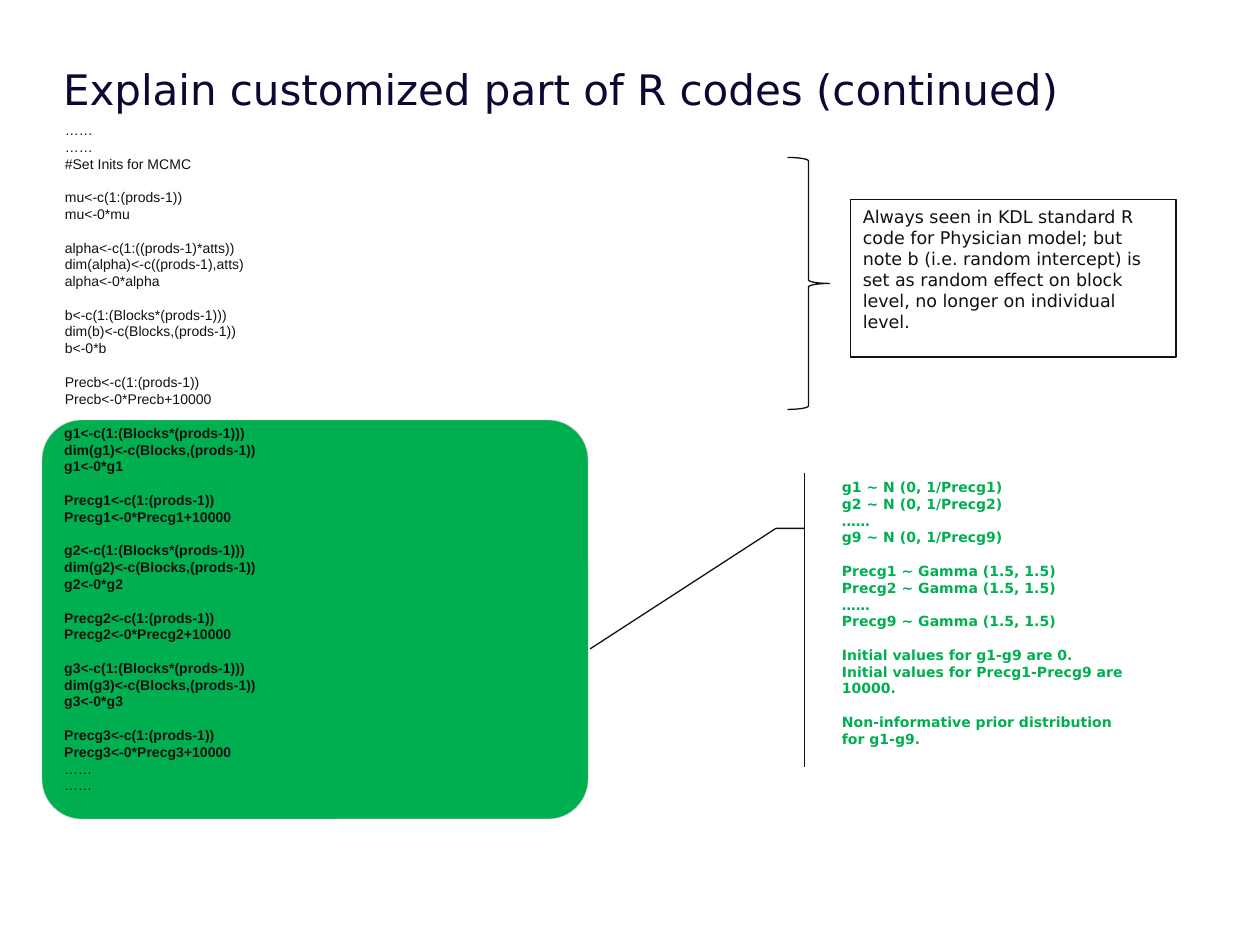
"""Build a slide that explains the customized part of the R codes."""
from pptx import Presentation
from pptx.dml.color import RGBColor
from pptx.enum.shapes import MSO_SHAPE
from pptx.enum.text import MSO_ANCHOR, PP_ALIGN
from pptx.util import Pt

BRACE = MSO_SHAPE.RIGHT_BRACE
ROUNDED = MSO_SHAPE.ROUNDED_RECTANGLE
RECTANGLE = MSO_SHAPE.RECTANGLE
CALLOUT = MSO_SHAPE.LINE_CALLOUT_2_ACCENT_BAR
TOP, MIDDLE = MSO_ANCHOR.TOP, MSO_ANCHOR.MIDDLE
LEFT = PP_ALIGN.LEFT
COLORS = {"title": "0E0733", "ink": "111111", "green": "00B050", "edge": "BFBFBF", "white": "FFFFFF"}
LINE_GAP = 9.6


def write_text(frame, groups, font="Arial", size=8, color="ink", bold=False,
               plain_tail=0, anchor=TOP, insets=(7.2, 3.6, 7.2, 3.6)):
    frame.word_wrap = True
    frame.vertical_anchor = anchor
    frame.margin_left, frame.margin_top, frame.margin_right, frame.margin_bottom = map(Pt, insets)
    lines = [(text, group > 0 and row == 0)
             for group, texts in enumerate(groups) for row, text in enumerate(texts)]
    for index, (text, starts_group) in enumerate(lines):
        paragraph = frame.paragraphs[0] if index == 0 else frame.add_paragraph()
        paragraph.alignment = LEFT
        paragraph.space_before = Pt(LINE_GAP if starts_group else 0)
        run = paragraph.add_run()
        run.text = text
        run.font.name = font
        run.font.size = Pt(size)
        run.font.bold = bold and index < len(lines) - plain_tail
        run.font.color.rgb = RGBColor.from_string(COLORS[color])


def add_box(kind, left, top, width, height, fill=None, line="ink", line_width=0.75, adjustments=()):
    shape = slide.shapes.add_shape(kind, Pt(left), Pt(top), Pt(width), Pt(height))
    shape.shadow.inherit = False
    if fill:
        shape.fill.solid()
        shape.fill.fore_color.rgb = RGBColor.from_string(COLORS[fill])
    else:
        shape.fill.background()
    shape.line.color.rgb = RGBColor.from_string(COLORS[line])
    shape.line.width = Pt(line_width)
    for index, value in enumerate(adjustments):
        shape.adjustments[index] = value
    return shape


presentation = Presentation()
presentation.slide_width, presentation.slide_height = Pt(720), Pt(540)
slide = presentation.slides.add_slide(presentation.slide_layouts[5])

title = slide.shapes.title
title.left, title.top, title.width, title.height = Pt(36), Pt(36), Pt(648), Pt(72)
write_text(title.text_frame, [["Explain customized part of R codes (continued)"]],
           font="DejaVu Sans", size=24, color="title", insets=(0, 0, 0, 0))

standard_code = [
    ["……", "……", "#Set Inits for MCMC"],
    ["mu<-c(1:(prods-1))", "mu<-0*mu"],
    ["alpha<-c(1:((prods-1)*atts))", "dim(alpha)<-c((prods-1),atts)", "alpha<-0*alpha"],
    ["b<-c(1:(Blocks*(prods-1)))", "dim(b)<-c(Blocks,(prods-1))", "b<-0*b"],
    ["Precb<-c(1:(prods-1))", "Precb<-0*Precb+10000"],
]
code_box = slide.shapes.add_textbox(Pt(30), Pt(66), Pt(678), Pt(405))
write_text(code_box.text_frame, standard_code)

add_box(BRACE, 450, 90, 24, 144, fill="white")

custom_code = []
for number in range(1, 4):
    custom_code += [
        [f"g{number}<-c(1:(Blocks*(prods-1)))", f"dim(g{number})<-c(Blocks,(prods-1))", f"g{number}<-0*g{number}"],
        [f"Precg{number}<-c(1:(prods-1))", f"Precg{number}<-0*Precg{number}+10000"],
    ]
custom_code[-1] += ["……", "……"]
custom_panel = add_box(ROUNDED, 24, 240, 312, 228, fill="green", line="edge",
                       line_width=0.25, adjustments=[0.1])
write_text(custom_panel.text_frame, custom_code, bold=True, plain_tail=2,
           anchor=MIDDLE, insets=(6, 6, 6, 18))

standard_note = add_box(RECTANGLE, 486, 114, 186, 90)
write_text(standard_note.text_frame, [[
    "Always seen in KDL standard R code for Physician model; but note b (i.e. random intercept) "
    "is set as random effect on block level, no longer on individual level."
]], font="DejaVu Sans", size=10)

prior_notes = [
    ["g1 ~ N (0, 1/Precg1)", "g2 ~ N (0, 1/Precg2)", "……", "g9 ~ N (0, 1/Precg9)"],
    ["Precg1 ~ Gamma (1.5, 1.5)", "Precg2 ~ Gamma (1.5, 1.5)", "……", "Precg9 ~ Gamma (1.5, 1.5)"],
    ["Initial values for g1-g9 are 0.", "Initial values for Precg1-Precg9 are 10000."],
    ["Non-informative prior distribution for g1-g9."],
]
prior_callout = add_box(CALLOUT, 474, 270, 180, 168,
                        adjustments=[0.19, -0.08, 0.19, -0.17, 0.6, -0.76])
write_text(prior_callout.text_frame, prior_notes, font="DejaVu Sans", color="green", bold=True)

presentation.save("out.pptx")
